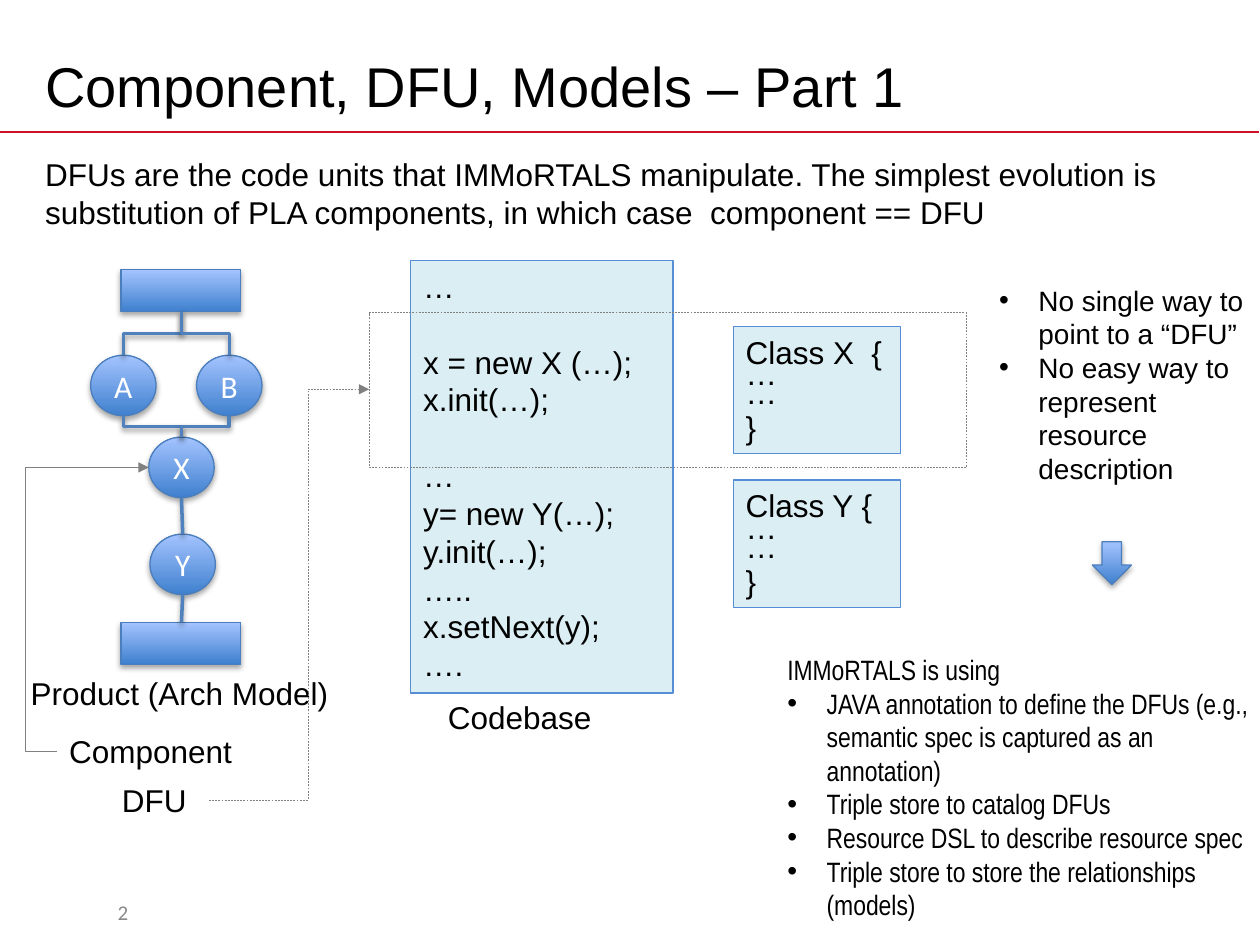
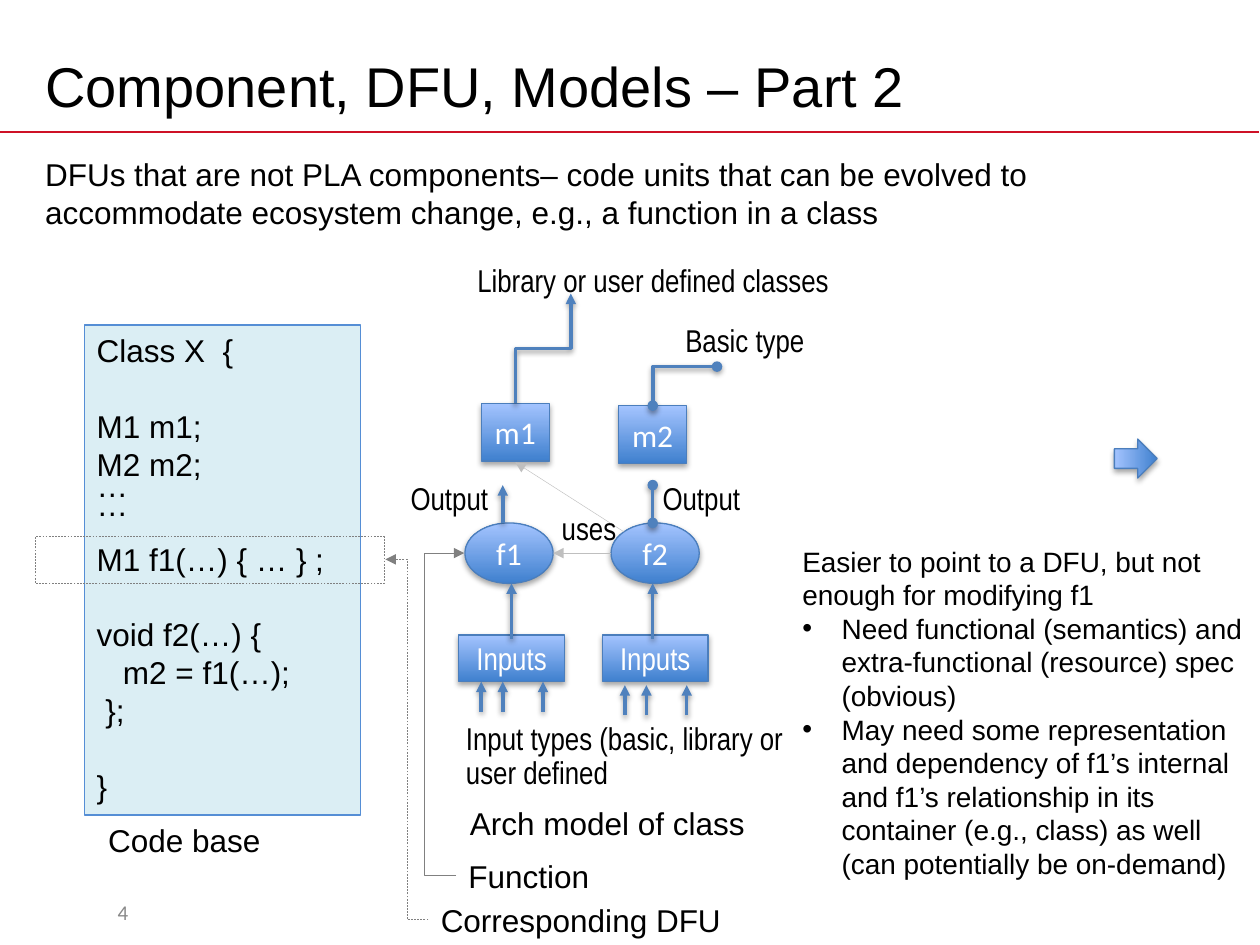
from dataclasses import dataclass
from typing import Any

from lxml import etree
from pptx import Presentation
from pptx import util as u
from pptx.dml import color as colors
from pptx.enum import dml, shapes, text
from pptx.oxml import ns

Pt = u.Pt
KIND = shapes.MSO_SHAPE
ARIAL, NARROW, CALIBRI = "Arial", "Arial Narrow", "Calibri"
BLACK, WHITE, GREY, RED = "000000", "FFFFFF", "898989", "CE1126"
NODE_DARK, NODE_LIGHT, NODE_EDGE = "3F80CE", "A4C4FF", "4B7EBC"
CODE_FILL, CODE_EDGE = "DBEEF4", "558ED5"
LINK = {"color": "4F81BD", "width": 2, "shadow": True}
LINK_ARROW = {**LINK, "tail": "triangle"}
LINK_OVALS = {**LINK, "head": "oval", "tail": "oval"}
USES = {"color": "BFBFBF", "width": 0.25, "tail": "triangle"}
POINTER = {"color": "808080", "width": 0.25, "tail": "triangle"}
DASHED_POINTER = {**POINTER, "dash": True}
BLANK_LINE = 21.7
LABEL_HEIGHT = 28.8
INDENT = 22.5


def rgb(value):
    return colors.RGBColor.from_string(value)


def apply(target, values):
    for name, value in values.items():
        setattr(target, name, value)


def add_xml(parent, tag, **attributes):
    element = etree.SubElement(parent, ns.qn("a:" + tag))
    for name, value in attributes.items():
        element.set(name, str(value))
    return element


def add_shadow(effects, opacity, distance):
    shadow = add_xml(effects, "outerShdw", blurRad=Pt(3.15), dist=Pt(distance),
                     dir=5400000, rotWithShape=0)
    add_xml(add_xml(shadow, "srgbClr", val=BLACK), "alpha", val=opacity * 1000)


def style_line(line, color, width, dash=False):
    line.color.rgb = rgb(color)
    line.width = Pt(width)
    if dash:
        line.dash_style = dml.MSO_LINE.DASH


def style_connector(connector, head=None, tail=None, shadow=False, **line_format):
    style_line(connector.line, **line_format)
    line = connector.line._get_or_add_ln()
    for tag, ending in (("headEnd", head), ("tailEnd", tail)):
        if ending:
            add_xml(line, tag, type=ending)
    effects = add_xml(connector._element.spPr, "effectLst")
    if shadow:
        add_shadow(effects, 38, 1.57)


def write(paragraph, words, size=18, font=ARIAL, color=BLACK, bullet=False, **layout):
    if bullet:
        properties = paragraph._p.get_or_add_pPr()
        apply_indent = {"marL": Pt(INDENT), "indent": -Pt(INDENT)}
        for name, value in apply_indent.items():
            properties.set(name, str(value))
        add_xml(properties, "buFont", typeface=ARIAL)
        add_xml(properties, "buChar", char="•")
    paragraph.text = words
    apply(paragraph, layout)
    apply(paragraph.font, {"size": Pt(size), "name": font})
    paragraph.font.color.rgb = rgb(color)


def paragraphs_of(frame, count):
    return [frame.paragraphs[0]] + [frame.add_paragraph() for _ in range(count - 1)]


@dataclass
class Region:
    slide: Any
    left: float
    top: float

    def box(self, left, top, width, height):
        return Pt(self.left + left), Pt(self.top + top), Pt(width), Pt(height)

    def node(self, kind, left, top, width, height, words="", font=CALIBRI):
        shape = self.slide.shapes.add_shape(kind, *self.box(left, top, width, height))
        shape.shadow.inherit = False
        add_shadow(shape._element.spPr.find(ns.qn("a:effectLst")), 35, 1.8)
        shape.fill.gradient()
        shape.fill.gradient_angle = 90
        for stop, color in zip(shape.fill.gradient_stops, (NODE_DARK, NODE_LIGHT)):
            stop.color.rgb = rgb(color)
        style_line(shape.line, NODE_EDGE, 0.75)
        if words:
            apply(shape.text_frame, {"word_wrap": False,
                                     "vertical_anchor": text.MSO_ANCHOR.MIDDLE})
            write(shape.text_frame.paragraphs[0], words, font=font, color=WHITE,
                  alignment=text.PP_ALIGN.CENTER)
        return shape

    def code(self, left, top, width, height, lines):
        shape = self.slide.shapes.add_shape(KIND.RECTANGLE, *self.box(left, top, width, height))
        shape.shadow.inherit = False
        shape.fill.solid()
        shape.fill.fore_color.rgb = rgb(CODE_FILL)
        style_line(shape.line, CODE_EDGE, 0.75)
        frame = shape.text_frame
        apply(frame, {"word_wrap": True, "vertical_anchor": text.MSO_ANCHOR.TOP})
        for paragraph, (words, layout) in zip(paragraphs_of(frame, len(lines)), lines):
            write(paragraph, words, alignment=text.PP_ALIGN.LEFT, **layout)

    def outline(self, left, top, width, height):
        shape = self.slide.shapes.add_shape(KIND.RECTANGLE, *self.box(left, top, width, height))
        shape.shadow.inherit = False
        shape.fill.background()
        style_line(shape.line, "808080", 0.25, dash=True)

    def label(self, left, top, width, words, height=LABEL_HEIGHT,
              anchor=text.MSO_ANCHOR.TOP, **layout):
        shape = self.slide.shapes.add_textbox(*self.box(left, top, width, height))
        apply(shape.text_frame, {"word_wrap": True, "vertical_anchor": anchor})
        write(shape.text_frame.paragraphs[0], words, **layout)

    def bullets(self, width, height, items, intro=None, font=ARIAL):
        shape = self.slide.shapes.add_textbox(*self.box(0, 0, width, height))
        shape.text_frame.word_wrap = True
        entries = [(intro, False)] if intro else []
        entries += [(item, True) for item in items]
        for paragraph, (words, bullet) in zip(
                paragraphs_of(shape.text_frame, len(entries)), entries):
            write(paragraph, words, size=16, font=font, bullet=bullet)

    def connect(self, kind, start, end):
        ends = [Pt(value) for x, y in (start, end) for value in (self.left + x, self.top + y)]
        return self.slide.shapes.add_connector(kind, *ends)

    def line(self, start, end, style):
        style_connector(self.connect(shapes.MSO_CONNECTOR.STRAIGHT, start, end), **style)

    def elbow(self, start, end, style, vertical=False, bend=None, corner=False):
        (x1, y1), (x2, y2) = start, end
        turn = 0
        if vertical:
            middle_x, middle_y = (x1 + x2) / 2, (y1 + y2) / 2
            half_x, half_y = (x2 - x1) / 2, (y2 - y1) / 2
            turn = 270 if half_x > 0 and half_y > 0 else 90
            if turn == 270:
                half_x, half_y = -half_x, -half_y
            start = (middle_x - half_y, middle_y + half_x)
            end = (middle_x + half_y, middle_y - half_x)
        connector = self.connect(shapes.MSO_CONNECTOR.ELBOW, start, end)
        properties = connector._element.spPr
        geometry = properties.find(ns.qn("a:prstGeom"))
        if turn:
            properties.find(ns.qn("a:xfrm")).set("rot", str(turn * 60000))
        if corner:
            geometry.set("prst", "bentConnector2")
        if bend is not None:
            add_xml(geometry.find(ns.qn("a:avLst")), "gd", name="adj1",
                    fmla=f"val {round(bend * 100000)}")
        style_connector(connector, **style)


def add_slide(presentation, title, summary, number):
    slide = presentation.slides.add_slide(presentation.slide_layouts[5])
    page = Region(slide, 0, 0)
    page.line((0, 75.6), (719.5, 75.6), {"color": RED, "width": 1})
    heading = slide.shapes.title
    apply(heading, dict(zip(("left", "top", "width", "height"),
                            page.box(18.7, 21.6, 648, 54))))
    apply(heading.text_frame, {"word_wrap": True, "auto_size": text.MSO_AUTO_SIZE.NONE,
                               "vertical_anchor": text.MSO_ANCHOR.MIDDLE})
    write(heading.text_frame.paragraphs[0], title, size=32, alignment=text.PP_ALIGN.LEFT)
    page.label(18.7, 85, 671.8, summary, height=51.1)
    page.label(20.2, 506.9, 100, number, anchor=text.MSO_ANCHOR.MIDDLE, size=12,
               font=CALIBRI, color=GREY, alignment=text.PP_ALIGN.CENTER)
    return slide


def product_model(region):
    axis, left_x, right_x, y_axis = 51.9, 18.7, 79.2, 52.6
    for name, left, top in (("A", 0, 49), ("B", 60.5, 49), ("X", 33.2, 95.8), ("Y", 33.9, 151.2)):
        region.node(KIND.OVAL, left, top, 37.4, 34.6, name)
    for top in (0, 201.6):
        region.node(KIND.RECTANGLE, 17.3, top, 68.4, 24)
    for branch in (left_x, right_x):
        region.elbow((axis, 24.4), (branch, 49), LINK, vertical=True)
        region.elbow((branch, 83.6), (axis, 95.8), LINK, vertical=True)
    region.line((axis, 130.4), (y_axis, 151.2), LINK)
    region.line((y_axis, 185.8), (axis, 201.6), LINK)


def codebase(region):
    gap = {"space_before": Pt(BLANK_LINE)}
    region.code(23.7, 0, 149.8, 247, [
        ("…", {}), ("x = new X (…);", gap), ("x.init(…);", {}), ("…", gap),
        ("y= new Y(…);", {}), ("y.init(…);", {}), ("…..", {}),
        ("x.setNext(y);", {}), ("….", {})])
    tight = {"line_spacing": 0.5}
    for top, header in ((37.5, "Class X  {"), (125.3, "Class Y {")):
        region.code(208, top, 95.8, 72.7, [(header, {}), ("…", tight), ("…", tight), ("}", {})])
    region.outline(0, 29.6, 341.3, 88.6)
    region.label(27.3, 246.3, 117.4, "Codebase", alignment=text.PP_ALIGN.CENTER)


def product_legend(region):
    region.label(0, 0, 199.4, "Product (Arch Model)", alignment=text.PP_ALIGN.CENTER)
    region.label(29.5, 33.1, 117.4, "Component")
    region.label(59.7, 61.2, 56.9, "DFU")
    region.elbow((29.5, 47.5), (82.1, -114.5), POINTER, bend=-0.341)
    region.elbow((116.6, 75.6), (208.1, -159.1), DASHED_POINTER, bend=0.617)


def class_code(region):
    gap, tight = {"space_before": Pt(BLANK_LINE)}, {"line_spacing": 0.5}
    region.code(28.2, 0, 157.7, 280, [
        ("Class X  {", {}), ("M1 m1;", gap), ("M2 m2;", {}), ("…", tight), ("…", tight),
        ("M1 f1(…) { … } ;", {"space_before": Pt(BLANK_LINE / 2)}),
        ("void f2(…) {", gap), ("   m2 = f1(…);", {}), (" };", {}), ("}", gap)])
    region.outline(0.2, 120.9, 199.4, 26.6)
    region.label(34.7, 280, 130.3, "Code base")


def class_model(region):
    for name, left, top in (("m1", 47.5, 85), ("m2", 126, 86.4)):
        region.node(KIND.RECTANGLE, left, top, 38.9, 33.1, name)
    for name, left in (("f1", 38.2), ("f2", 121.7)):
        region.node(KIND.OVAL, left, 153.4, 50.4, 34.6, name)
    for left, drop in ((34.6, 0), (116.7, 2)):
        region.node(KIND.RECTANGLE, left, 217.5, 60.5, 26.6, "Inputs", NARROW)
        for offset in (12.9, 25.2, 48.2):
            x = left + offset
            region.line((x, 261.4 + drop), (x, 244.1 + drop), LINK_ARROW)
    for x in (64.8, 145.5):
        region.line((x, 219.6), (x, 187.9), LINK_ARROW)
    for x, style in ((59.8, LINK_ARROW), (145.5, LINK_OVALS)):
        region.line((x, 153.4), (x, 131.8), style)
    region.elbow((145.5, 86.4), (182.2, 64.1), LINK_OVALS, vertical=True, corner=True)
    region.elbow((67, 85), (98.7, 22.4), LINK_ARROW, vertical=True)
    region.line((121.7, 170.7), (88.6, 170.7), USES)
    region.line((128.9, 158.4), (67, 118.8), USES)
    for words, left, top, width in (
            ("Library or user defined classes", 38.2, 0, 218.9),
            ("Basic type", 157, 34.6, 87.8), ("uses", 86.4, 141.8, 49),
            ("Output", 0, 124.6, 68.4), ("Output", 144, 124.6, 68.4)):
        region.label(left, top, width, words, font=NARROW)
    region.label(31.7, 264.2, 227.5, "Input types (basic, library or user defined",
                 height=46.8, font=NARROW, line_spacing=0.9)


def class_legend(region):
    for words, left, top in (("Arch model of class", 16.6, 0), ("Function", 15.8, 30.2),
                             ("Corresponding DFU", 0, 55.4)):
        region.label(left, top, 175, words)
    region.elbow((15.8, 44.6), (20.47, -139.7), POINTER, bend=-3.857)
    region.elbow((0, 69.8), (-24.5, -136.1), DASHED_POINTER)


def build_part_one(presentation):
    slide = add_slide(
        presentation, "Component, DFU, Models – Part 1",
        "DFUs are the code units that IMMoRTALS manipulate. The simplest evolution is "
        "substitution of PLA components, in which case  component == DFU", "2")
    product_model(Region(slide, 51.8, 154))
    codebase(Region(slide, 211, 149))
    product_legend(Region(slide, 2.9, 381.6))
    Region(slide, 563.8, 158.4).bullets(157.7, 123.8, [
        "No single way to point to a “DFU”", "No easy way to represent resource description"])
    Region(slide, 624.2, 309.6).node(KIND.DOWN_ARROW, 0, 0, 22.3, 24.5)
    Region(slide, 442.8, 369.4).bullets(278.6, 162.7, [
        "JAVA annotation to define the DFUs (e.g., semantic spec is captured as an annotation)",
        "Triple store to catalog DFUs", "Resource DSL to describe resource spec",
        "Triple store to store the relationships (models)"], "IMMoRTALS is using", NARROW)


def build_part_two(presentation):
    slide = add_slide(
        presentation, "Component, DFU, Models – Part 2",
        "DFUs that are not PLA components– code units that can be evolved to "
        "accommodate ecosystem change, e.g., a function in a class", "4")
    class_code(Region(slide, 20, 185.8))
    class_model(Region(slide, 227.5, 145.4))
    class_legend(Region(slide, 244.8, 455.8))
    Region(slide, 637.9, 249.8).node(KIND.DOWN_ARROW, 0, 0, 22.3, 24.5).rotation = 270
    Region(slide, 451.4, 307.4).bullets(268.6, 200.9, [
        "Need functional (semantics) and extra-functional (resource) spec (obvious)",
        "May need some representation and dependency of f1’s internal and f1’s relationship "
        "in its container (e.g., class) as well (can potentially be on-demand)"],
        "Easier to point to a DFU, but not enough for modifying f1")


def main():
    presentation = Presentation()
    apply(presentation, {"slide_width": Pt(720), "slide_height": Pt(540)})
    build_part_one(presentation)
    build_part_two(presentation)
    presentation.save("out.pptx")


if __name__ == "__main__":
    main()
